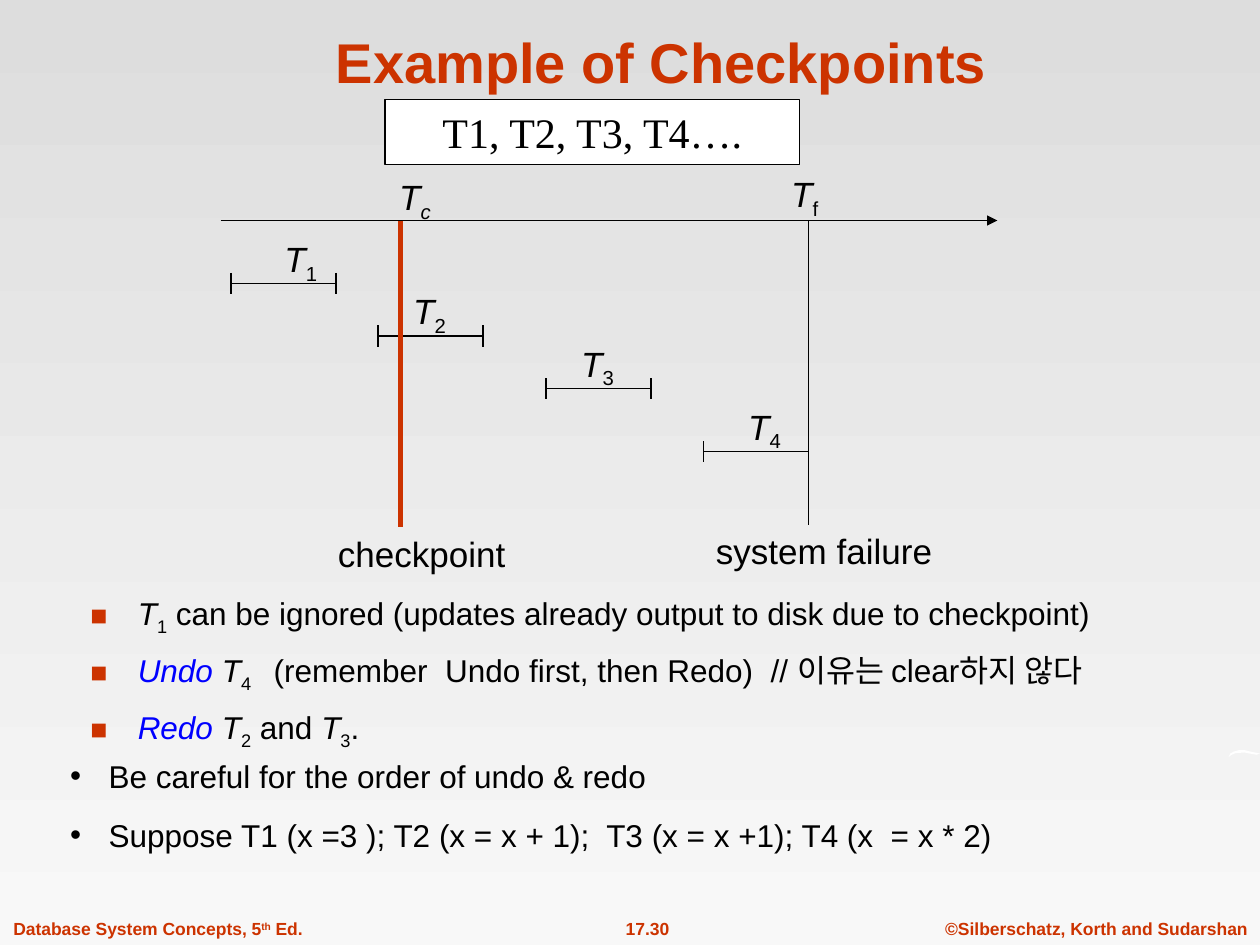
from lxml.etree import SubElement
from pptx import Presentation
from pptx.dml.color import RGBColor
from pptx.enum.shapes import MSO_CONNECTOR, MSO_SHAPE
from pptx.enum.text import MSO_ANCHOR, MSO_AUTO_SIZE, PP_ALIGN
from pptx.oxml.ns import qn
from pptx.util import Pt

COLORS = {
    "black": "000000",
    "white": "FFFFFF",
    "accent": "CC3300",
    "keyword": "0000FF",
    "sky_top": "DDDDDD",
    "sky_bottom": "F8F8F8",
}


def rgb(name):
    return RGBColor.from_string(COLORS[name])


def add_span(para, text, size=18, color="black", bold=False, italic=False,
             font="Arial", baseline=0):
    span = para.add_run()
    span.text = text
    span.font.size = Pt(size)
    span.font.name = font
    span.font.bold = bold
    span.font.italic = italic
    span.font.color.rgb = rgb(color)
    if baseline:
        span._r.get_or_add_rPr().set("baseline", str(baseline * 1000))


def add_bullet(para, char, color, percent, indent):
    properties = para._p.get_or_add_pPr()
    properties.set("marL", str(Pt(indent)))
    properties.set("indent", str(-Pt(indent)))
    bullet_color = SubElement(properties, qn("a:buClr"))
    SubElement(bullet_color, qn("a:srgbClr"), val=COLORS[color])
    SubElement(properties, qn("a:buSzPct"), val=str(percent * 1000))
    SubElement(properties, qn("a:buFont"), typeface="Arial")
    SubElement(properties, qn("a:buChar"), char=char)


def variable(index, **style):
    return [("T", dict(style, italic=True)), (index, dict(style, baseline=-25))]


class SlideBuilder:
    def __init__(self, deck):
        self.page = deck.slides.add_slide(deck.slide_layouts[1])

    def background(self, top, bottom):
        fill = self.page.background.fill
        fill.gradient()
        fill.gradient_angle = 270
        for stop, color in zip(fill.gradient_stops, (top, bottom)):
            stop.color.rgb = rgb(color)

    def place(self, box, left, top, width, height):
        box.left, box.top, box.width, box.height = map(Pt, (left, top, width, height))
        box.text_frame.auto_size = MSO_AUTO_SIZE.NONE

    def title(self, text, *area):
        box = self.page.shapes.title
        self.place(box, *area)
        box.text_frame.vertical_anchor = MSO_ANCHOR.BOTTOM
        para = box.text_frame.paragraphs[0]
        para.alignment = PP_ALIGN.CENTER
        add_span(para, text, size=32, color="accent", bold=True)

    def bullets(self, box, items, gap, **bullet):
        box.text_frame.word_wrap = True
        for number, spans in enumerate(items):
            frame = box.text_frame
            para = frame.add_paragraph() if number else frame.paragraphs[0]
            add_bullet(para, **bullet)
            para.space_before = Pt(gap if number else 0)
            for text, style in spans:
                add_span(para, text, **style)

    def body(self, items, *area, **options):
        box = self.page.placeholders[1]
        self.place(box, *area)
        box.text_frame.vertical_anchor = MSO_ANCHOR.TOP
        self.bullets(box, items, **options)

    def list_box(self, items, *area, **options):
        box = self.page.shapes.add_textbox(0, 0, 0, 0)
        self.place(box, *area)
        self.bullets(box, items, **options)

    def label(self, spans, *area, align=PP_ALIGN.LEFT):
        box = self.page.shapes.add_textbox(0, 0, 0, 0)
        self.place(box, *area)
        box.text_frame.word_wrap = False
        para = box.text_frame.paragraphs[0]
        para.alignment = align
        for text, style in spans:
            add_span(para, text, **style)

    def line(self, x1, y1, x2, y2, color="black", width=0.75, arrow=False):
        line = self.page.shapes.add_connector(
            MSO_CONNECTOR.STRAIGHT, Pt(x1), Pt(y1), Pt(x2), Pt(y2))
        line.line.color.rgb = rgb(color)
        line.line.width = Pt(width)
        if arrow:
            SubElement(line.line._get_or_add_ln(), qn("a:tailEnd"), type="triangle")
        SubElement(line._element.spPr, qn("a:effectLst"))

    def interval(self, left, y, length=60, tick=6):
        self.line(left, y, left + length, y)
        for x in (left, left + length):
            self.line(x, y - tick, x, y + tick)

    def framed_text(self, text, *area):
        box = self.page.shapes.add_shape(MSO_SHAPE.RECTANGLE, 0, 0, 0, 0)
        self.place(box, *area)
        box.shadow.inherit = False
        box.fill.solid()
        box.fill.fore_color.rgb = rgb("white")
        box.line.color.rgb = rgb("black")
        box.line.width = Pt(0.75)
        box.text_frame.word_wrap = False
        box.text_frame.vertical_anchor = MSO_ANCHOR.MIDDLE
        para = box.text_frame.paragraphs[0]
        para.alignment = PP_ALIGN.CENTER
        add_span(para, text, size=24, font="Times New Roman")

    def outline(self, points, color):
        builder = self.page.shapes.build_freeform(*map(Pt, points[0]), scale=1.0)
        builder.add_line_segments([(Pt(x), Pt(y)) for x, y in points[1:]])
        shape = builder.convert_to_shape()
        shape.shadow.inherit = False
        shape.fill.solid()
        shape.fill.fore_color.rgb = rgb(color)
        shape.line.fill.background()


def main():
    deck = Presentation()
    deck.slide_width, deck.slide_height = Pt(720), Pt(540)
    slide = SlideBuilder(deck)
    slide.background("sky_top", "sky_bottom")

    footer = dict(size=10, color="accent", bold=True)
    slide.label([("Database System Concepts, 5", footer),
                 ("th", dict(footer, baseline=30)), (" Ed.", footer)],
                0.5, 521, 179, 19)
    slide.label([("17.30", footer)], 332, 521, 76, 19, align=PP_ALIGN.CENTER)
    slide.label([("©Silberschatz, Korth and Sudarshan", footer)],
                533, 521, 187, 19, align=PP_ALIGN.RIGHT)
    slide.outline([(702, 432.7), (703, 430.6), (705, 429.5), (708, 428.6),
                   (711, 428.6), (715, 429.6), (720, 430.6), (718, 431.3),
                   (714, 430.6), (711, 430), (706, 430.4), (703.5, 431.5)], "white")

    slide.title("Example of Checkpoints", 60, 9.5, 636, 48)
    plain, keyword = {}, dict(color="keyword", italic=True)
    slide.body([
        [*variable("1"),
         (" can be ignored (updates already output to disk due to checkpoint)", plain)],
        [("Undo ", keyword), *variable("4 "),
         ("  (remember  Undo first, then Redo)  // 이유는 clear하지 않다", plain)],
        [("Redo ", keyword), *variable("2"), (" and ", plain), *variable("3"),
         (".", plain)],
    ], 44.5, 336, 651, 98, gap=7.9, char="■", color="accent", percent=90, indent=27)

    timeline_y, failure_x = 126, 462
    slide.line(126, timeline_y, 570, timeline_y, arrow=True)
    slide.line(failure_x, timeline_y, failure_x, 300)
    for left, y, label_left, index in ((132, 162, 155.5, "1"), (216, 192, 229, "2"),
                                       (312, 222, 325, "3"), (402, 258, 420.5, "4")):
        slide.interval(left, y)
        slide.label(variable(index, size=20), label_left, y - 30, 33, 34.5)

    large = dict(size=20)
    slide.label([("T", dict(large, italic=True)),
                 ("c", dict(large, italic=True, baseline=-25))], 221, 97, 32, 34.5)
    slide.label(variable("f", size=20), 445, 95, 30, 34.5)
    slide.label([("checkpoint", large)], 186, 301, 110, 32)
    slide.label([("system failure", large)], 402, 299, 137.5, 32)
    slide.framed_text("T1, T2, T3, T4….", 220, 57, 237, 37)
    slide.line(229, timeline_y, 229, 301, color="accent", width=3)

    slide.list_box([
        [("Be careful for the order of undo & redo", plain)],
        [("Suppose T1 (x =3 ); T2 (x = x + 1);  T3 (x = x +1); T4 (x  = x * 2)", plain)],
    ], 33, 429, 600, 62, gap=12, char="•", color="black", percent=100, indent=22)

    deck.save("out.pptx")


if __name__ == "__main__":
    main()
